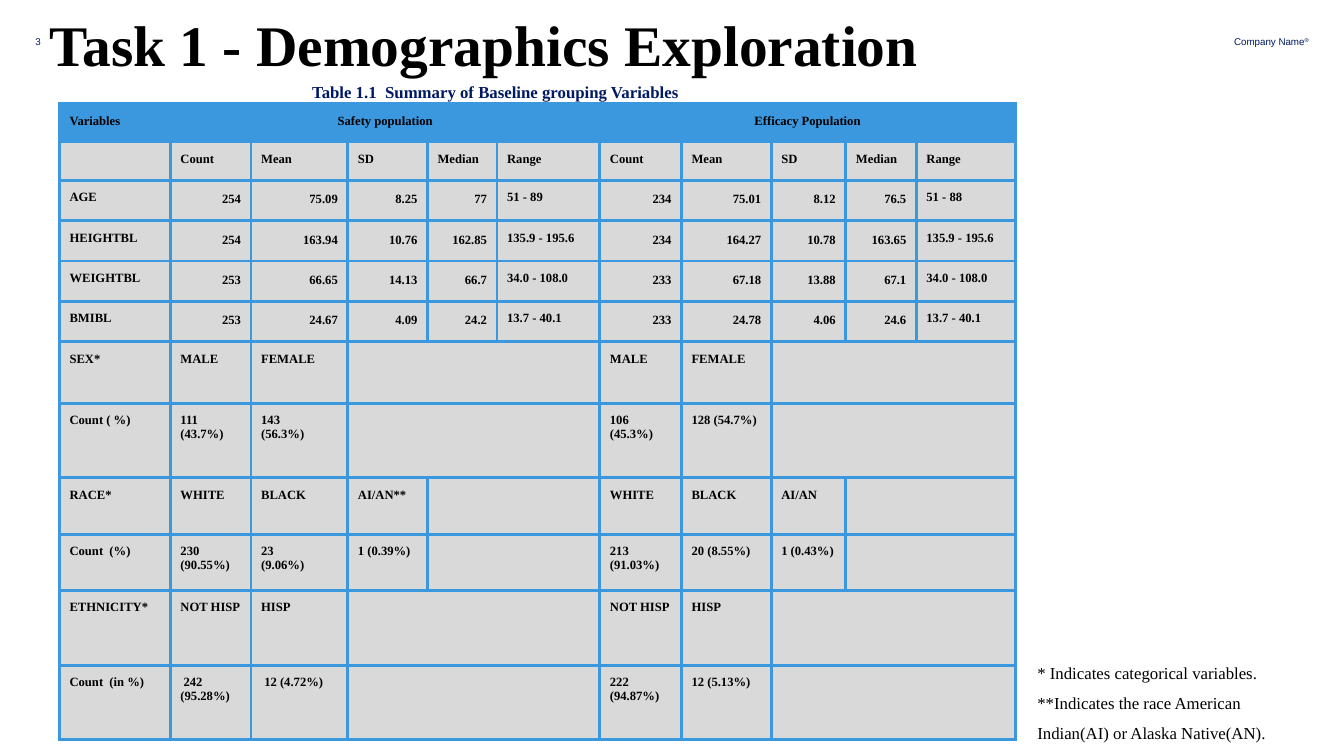
from lxml import etree
from pptx import Presentation
from pptx.dml.color import RGBColor
from pptx.enum.text import MSO_ANCHOR, MSO_AUTO_SIZE, PP_ALIGN
from pptx.oxml.ns import qn
from pptx.util import Inches, Pt

LEFT, CENTER, RIGHT = PP_ALIGN.LEFT, PP_ALIGN.CENTER, PP_ALIGN.RIGHT
BLACK = RGBColor(0x00, 0x00, 0x00)
NAVY = RGBColor(0x00, 0x19, 0x65)
BLUE = RGBColor(0x3B, 0x97, 0xDE)
GREY = RGBColor(0xD9, 0xD9, 0xD9)
SERIF, SANS = "Times New Roman", "Arial"

COMPANY = "Company Name"
TITLE = "Task 1 - Demographics Exploration"
CAPTION = "Table 1.1  Summary of Baseline grouping Variables"
NOTES = [
    "* Indicates categorical variables.",
    "**Indicates the race American Indian(AI) or Alaska Native(AN).",
]
STATISTICS = ["Count", "Mean", "SD", "Median", "Range"]

# Row height, label, safety population, efficacy population
HEADER_ROWS = [
    (0.38, "Variables", ["Safety population"], ["Efficacy Population"]),
    (0.38, "", STATISTICS, STATISTICS),
]
MEASURE_ROWS = [
    (0.4, "AGE", ["254", "75.09", "8.25", "77", "51 - 89"],
     ["234", "75.01", "8.12", "76.5", "51 - 88"]),
    (0.4, "HEIGHTBL", ["254", "163.94", "10.76", "162.85", "135.9 - 195.6"],
     ["234", "164.27", "10.78", "163.65", "135.9 - 195.6"]),
    (0.4, "WEIGHTBL", ["253", "66.65", "14.13", "66.7", "34.0 - 108.0"],
     ["233", "67.18", "13.88", "67.1", "34.0 - 108.0"]),
    (0.4, "BMIBL", ["253", "24.67", "4.09", "24.2", "13.7 - 40.1"],
     ["233", "24.78", "4.06", "24.6", "13.7 - 40.1"]),
]
CATEGORY_ROWS = [
    (0.61, "SEX*", ["MALE", "FEMALE"], ["MALE", "FEMALE"]),
    (0.74, "Count ( %)", ["111 (43.7%)", "143\n(56.3%)"], ["106 (45.3%)", "128 (54.7%)"]),
    (0.56, "RACE*", ["WHITE", "BLACK", "AI/AN**"], ["WHITE", "BLACK", "AI/AN"]),
    (0.56, "Count  (%)", ["230 (90.55%)", "23\n(9.06%)", "1 (0.39%)"],
     ["213 (91.03%)", "20 (8.55%)", "1 (0.43%)"]),
    (0.74, "ETHNICITY*", ["NOT HISP", "HISP"], ["NOT HISP", "HISP"]),
    (0.74, "Count  (in %)", [" 242 (95.28%)", " 12 (4.72%)"], ["222 (94.87%)", "12 (5.13%)"]),
]
ROWS = HEADER_ROWS + MEASURE_ROWS + CATEGORY_ROWS
COLUMN_WIDTHS = [1.1, 0.8, 0.96, 0.79, 0.69, 1.02, 0.81, 0.89, 0.74, 0.7, 0.98]
GROUP_SIZE = len(STATISTICS)


def add_run(paragraph, text, size, font=SERIF, color=BLACK, bold=False):
    run = paragraph.add_run()
    run.text = text
    run.font.size = Pt(size)
    run.font.name = font
    run.font.bold = bold
    run.font.color.rgb = color
    return run


def set_margins(target, inches):
    target.margin_left = target.margin_right = Inches(inches)
    target.margin_top = target.margin_bottom = Inches(inches)


def add_text(slide, box, lines, size, margin=0, align=LEFT, spacing=None, **style):
    """Add a text box with one paragraph per line and return its paragraphs."""
    frame = slide.shapes.add_textbox(*map(Inches, box)).text_frame
    frame.word_wrap = True
    set_margins(frame, margin)
    for index, line in enumerate(lines):
        paragraph = frame.paragraphs[0] if index == 0 else frame.add_paragraph()
        paragraph.alignment = align
        if spacing:
            paragraph.line_spacing = spacing
        add_run(paragraph, line, size, **style)
    return frame.paragraphs


def format_cell(cell, fill):
    set_margins(cell, 0.1)
    properties = cell._tc.get_or_add_tcPr()
    for side in ("a:lnL", "a:lnR", "a:lnT", "a:lnB"):
        line = etree.SubElement(properties, qn(side), w=str(Pt(2.25)))
        solid = etree.SubElement(line, qn("a:solidFill"))
        etree.SubElement(solid, qn("a:srgbClr"), val=str(BLUE))
    cell.fill.solid()
    cell.fill.fore_color.rgb = fill
    # The size of an empty paragraph keeps blank cells from stretching their row
    etree.SubElement(cell.text_frame.paragraphs[0]._p, qn("a:endParaRPr"), sz="900")


def write_cell(cell, text, align=LEFT, spacing=None):
    for index, line in enumerate(text.split("\n") if text else []):
        frame = cell.text_frame
        paragraph = frame.paragraphs[0] if index == 0 else frame.add_paragraph()
        paragraph.alignment = align
        if spacing:
            paragraph.line_spacing = spacing
        add_run(paragraph, line, 9, bold=True)


def fill_group(table, row, first_column, texts):
    """Write one population's cells and merge the columns it leaves over."""
    is_title = row == 0
    is_measure = ROWS[row] in MEASURE_ROWS
    for offset, text in enumerate(texts):
        cell = table.cell(row, first_column + offset)
        if is_title:
            write_cell(cell, text, CENTER)
        elif is_measure and offset < GROUP_SIZE - 1:
            write_cell(cell, text, RIGHT, 1.15)
        else:
            write_cell(cell, text)
    merge_from = 0 if is_title else len(texts)
    if merge_from < GROUP_SIZE - 1:
        last = table.cell(row, first_column + GROUP_SIZE - 1)
        table.cell(row, first_column + merge_from).merge(last)


def add_summary_table(slide):
    height = sum(row[0] for row in ROWS)
    table = slide.shapes.add_table(
        len(ROWS), len(COLUMN_WIDTHS), Inches(0.59), Inches(1.03),
        Inches(sum(COLUMN_WIDTHS)), Inches(height)).table
    for column, width in zip(table.columns, COLUMN_WIDTHS):
        column.width = Inches(width)
    for row, (height, label, safety, efficacy) in enumerate(ROWS):
        table.rows[row].height = Inches(height)
        for cell in table.rows[row].cells:
            format_cell(cell, BLUE if row == 0 else GREY)
        write_cell(table.cell(row, 0), label)
        fill_group(table, row, 1, safety)
        fill_group(table, row, 1 + GROUP_SIZE, efficacy)


def add_title(slide):
    title = slide.shapes.title
    title.left, title.top = Inches(0.49), Inches(0.09)
    title.width, title.height = Inches(11.92), Inches(0.67)
    frame = title.text_frame
    frame.auto_size = MSO_AUTO_SIZE.NONE
    frame.vertical_anchor = MSO_ANCHOR.TOP
    set_margins(frame, 0)
    frame.paragraphs[0].alignment = LEFT
    add_run(frame.paragraphs[0], TITLE, 41, bold=True)


def main():
    presentation = Presentation()
    presentation.slide_width, presentation.slide_height = Inches(13.33), Inches(7.5)
    slide = presentation.slides.add_slide(presentation.slide_layouts[5])
    small = {"size": 7, "font": SANS, "color": NAVY}
    company = add_text(slide, (11.98, 0.35, 1, 0.12), [COMPANY], align=RIGHT, **small)
    mark = add_run(company[0], "®", **small)
    mark.font._element.set("baseline", "30000")
    add_text(slide, (0.35, 0.35, 0.35, 0.14), ["3"], **small)
    add_title(slide)
    add_summary_table(slide)
    add_text(slide, (1.69, 0.71, 6.45, 0.4), [CAPTION], 12, 0.1, CENTER, color=NAVY, bold=True)
    add_text(slide, (10.19, 6.37, 2.7, 1.01), NOTES, 12, 0.1, spacing=1.5)
    presentation.save("out.pptx")


if __name__ == "__main__":
    main()
